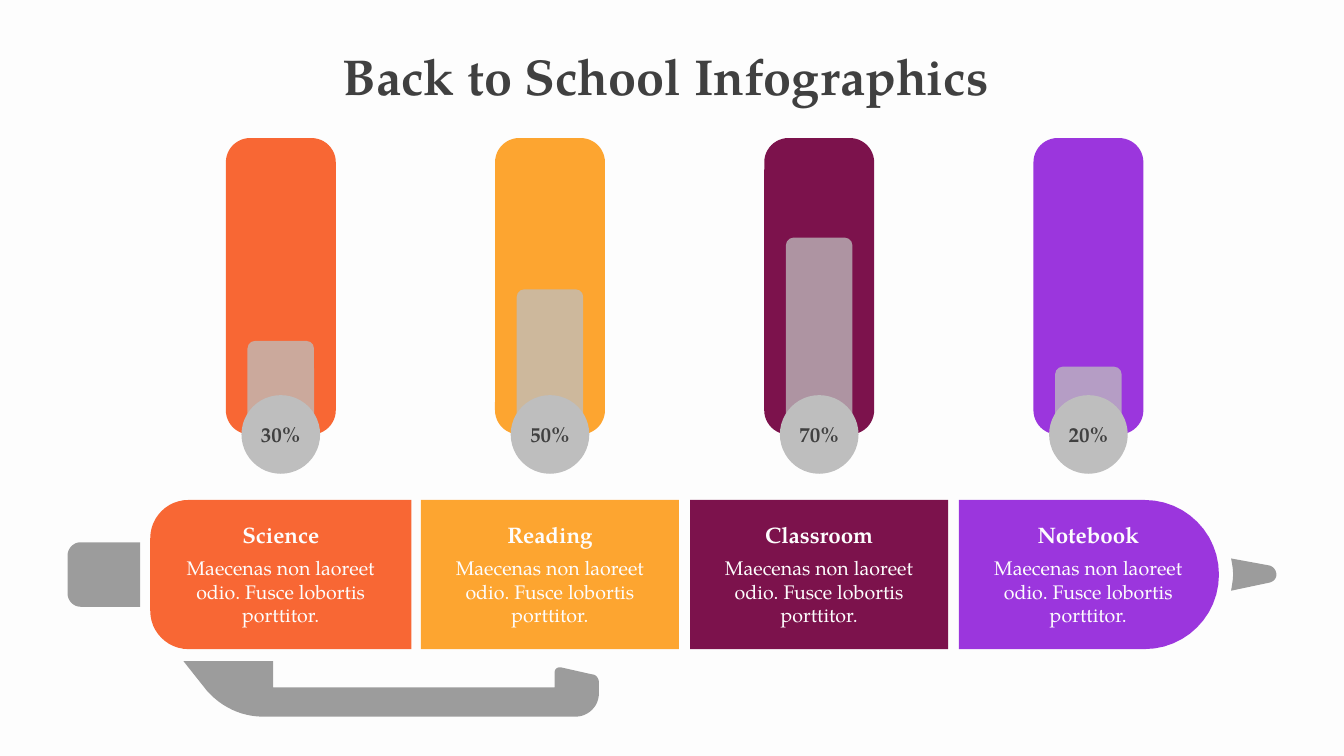
from dataclasses import dataclass

from lxml import etree
from pptx import Presentation
from pptx.dml.color import RGBColor
from pptx.enum.shapes import MSO_SHAPE
from pptx.enum.text import MSO_ANCHOR, MSO_AUTO_SIZE, PP_ALIGN
from pptx.oxml.ns import qn
from pptx.util import Inches, Pt

RECT = MSO_SHAPE.RECTANGLE
ROUND = MSO_SHAPE.ROUNDED_RECTANGLE
TAB = MSO_SHAPE.ROUND_2_SAME_RECTANGLE
OVAL = MSO_SHAPE.OVAL
CENTER = PP_ALIGN.CENTER
MIDDLE = MSO_ANCHOR.MIDDLE
TOP = MSO_ANCHOR.TOP
FIXED = MSO_AUTO_SIZE.NONE


@dataclass(frozen=True)
class Theme:
    font: str = "TeX Gyre Pagella"
    paper: str = "FDFDFD"
    ink: str = "404040"
    pen: str = "7E7E7E"
    gauge: str = "BEBEBE"
    alpha: int = 76
    title: int = 36
    head: int = 16
    value: int = 15
    body: int = 14
    cell: float = 0.1


class Board:
    def __init__(self, deck, theme):
        self.theme = theme
        self.slide = deck.slides.add_slide(deck.slide_layouts[5])
        self.shapes = self.slide.shapes
        fill = self.slide.background.fill
        fill.solid()
        fill.fore_color.rgb = RGBColor.from_string(theme.paper)

    def cells(self, *counts):
        return [Inches(count * self.theme.cell) for count in counts]

    def paint(self, shape, color, alpha=100):
        shape.shadow.inherit = False
        shape.line.fill.background()
        shape.fill.solid()
        shape.fill.fore_color.rgb = RGBColor.from_string(color)
        if alpha < 100:
            tone = shape.element.spPr.find(qn("a:solidFill"))[0]
            etree.SubElement(tone, qn("a:alpha"), val=str(alpha * 1000))
        return shape

    def block(self, kind, box, color, alpha=100, radius=0):
        shape = self.shapes.add_shape(kind, *self.cells(*box))
        if radius:
            shape.adjustments[0] = radius / min(box[2:])
        return self.paint(shape, color, alpha)

    def outline(self, start, steps, color, alpha=100):
        spots, last = [], start
        for step in steps:
            if len(step) == 2:
                spots.append(step)
            else:
                ends = (last, step[:2], step[2:4], step[4:])
                spots += [bend(ends, n / 12) for n in range(1, 13)]
            last = spots[-1]
        pen = self.shapes.build_freeform(*self.cells(*start))
        pen.add_line_segments([self.cells(*spot) for spot in spots])
        return self.paint(pen.convert_to_shape(), color, alpha)

    def letter(self, frame, rows, color, anchor=TOP, wrap=True):
        frame.word_wrap = wrap
        frame.auto_size = FIXED
        frame.vertical_anchor = anchor
        for i, (text, size, bold) in enumerate(rows):
            line = frame.add_paragraph() if i else frame.paragraphs[0]
            line.text = text
            line.alignment = CENTER
            line.space_before = Pt(6 if i else 0)
            line.font.name = self.theme.font
            line.font.size = Pt(size)
            line.font.bold = bold
            line.font.color.rgb = RGBColor.from_string(color)

    def title(self, text, box):
        shape = self.shapes.title
        shape.left, shape.top, shape.width, shape.height = self.cells(*box)
        self.letter(shape.text_frame, [(text, self.theme.title, True)], self.theme.ink)

    def text(self, box, rows, color):
        shape = self.shapes.add_textbox(*self.cells(*box))
        self.letter(shape.text_frame, rows, color)

    def meter(self, mid, share, color):
        look = self.theme
        high = share * 0.256
        self.block(ROUND, (mid - 5.45, 13.7, 10.9, 29.4), color, radius=2.4)
        self.block(TAB, (mid - 3.3, 41.5 - high, 6.6, high), look.gauge, look.alpha, 0.75)
        dot = self.block(OVAL, (mid - 3.9, 39.2, 7.8, 7.8), look.gauge)
        self.letter(dot.text_frame, [(f"{share}%", look.value, True)], look.ink, MIDDLE, False)


def bend(ends, t):
    rates = ((1 - t) ** 3, 3 * t * (1 - t) ** 2, 3 * t * t * (1 - t), t ** 3)
    return tuple(sum(r * end[axis] for r, end in zip(rates, ends)) for axis in (0, 1))


TOPICS = [
    ("Science", 30, "F86734"),
    ("Reading", 50, "FDA530"),
    ("Classroom", 70, "7C124C"),
    ("Notebook", 20, "9B36DD"),
]
NOTE = "Maecenas non laoreet odio. Fusce lobortis porttitor."

CAP = (8, 53.8), [
    (7.3, 53.8, 6.7, 54.4, 6.7, 55.1), (6.7, 58.9),
    (6.7, 59.6, 7.3, 60.2, 8, 60.2), (13.9, 60.2), (13.9, 53.8),
]
CLIP = (18.2, 65.6), [
    (20.5, 68.5), (21.9, 70.1, 23.9, 71.1, 26.1, 71.1), (57.1, 71.1),
    (58.3, 71.1, 59.4, 70.1, 59.4, 68.8), (59.4, 67.7),
    (59.4, 67.3, 59.1, 66.9, 58.7, 66.9), (55.6, 66.2),
    (55.2, 66.2, 55, 66.4, 55, 66.8), (55, 68.2), (27.1, 68.2), (27.1, 65.6),
]
TIP = (122.1, 55.4), [
    (122.2, 55.9, 122.3, 56.4, 122.3, 57), (122.3, 57.5, 122.2, 58, 122.1, 58.6),
    (125.9, 57.8), (126.3, 57.7, 126.6, 57.4, 126.6, 57),
    (126.6, 56.6, 126.3, 56.2, 125.9, 56.1),
]
ENDS = {
    "Science": ((18.7, 49.6), [
        (16.6, 49.6, 14.9, 51.3, 14.9, 53.4), (14.9, 60.6),
        (14.9, 62.7, 16.6, 64.4, 18.7, 64.4), (40.8, 64.4), (40.8, 49.6),
    ]),
    "Notebook": ((95.1, 49.6), [
        (95.1, 64.4), (113.5, 64.4), (117.6, 64.4, 120.9, 61.1, 120.9, 57),
        (120.9, 52.9, 117.6, 49.6, 113.5, 49.6),
    ]),
}


def main():
    deck = Presentation()
    deck.slide_width, deck.slide_height = Inches(13.33), Inches(7.5)
    look = Theme()
    board = Board(deck, look)
    board.title("Back to School Infographics ", (0, 4, 133.3, 7.1))
    for start, steps in (CAP, CLIP, TIP):
        board.outline(start, steps, look.pen, look.alpha)
    for i, (name, share, color) in enumerate(TOPICS):
        mid = 27.85 + 26.7 * i
        if name in ENDS:
            board.outline(*ENDS[name], color)
        else:
            board.block(RECT, (mid - 12.8, 49.6, 25.6, 14.8), color)
        rows = [(name, look.head, True), (NOTE, look.body, False)]
        board.text((mid - 12.3, 51.2, 24.6, 11.6), rows, look.paper)
        board.meter(mid, share, color)
    deck.save("out.pptx")


if __name__ == "__main__":
    main()
